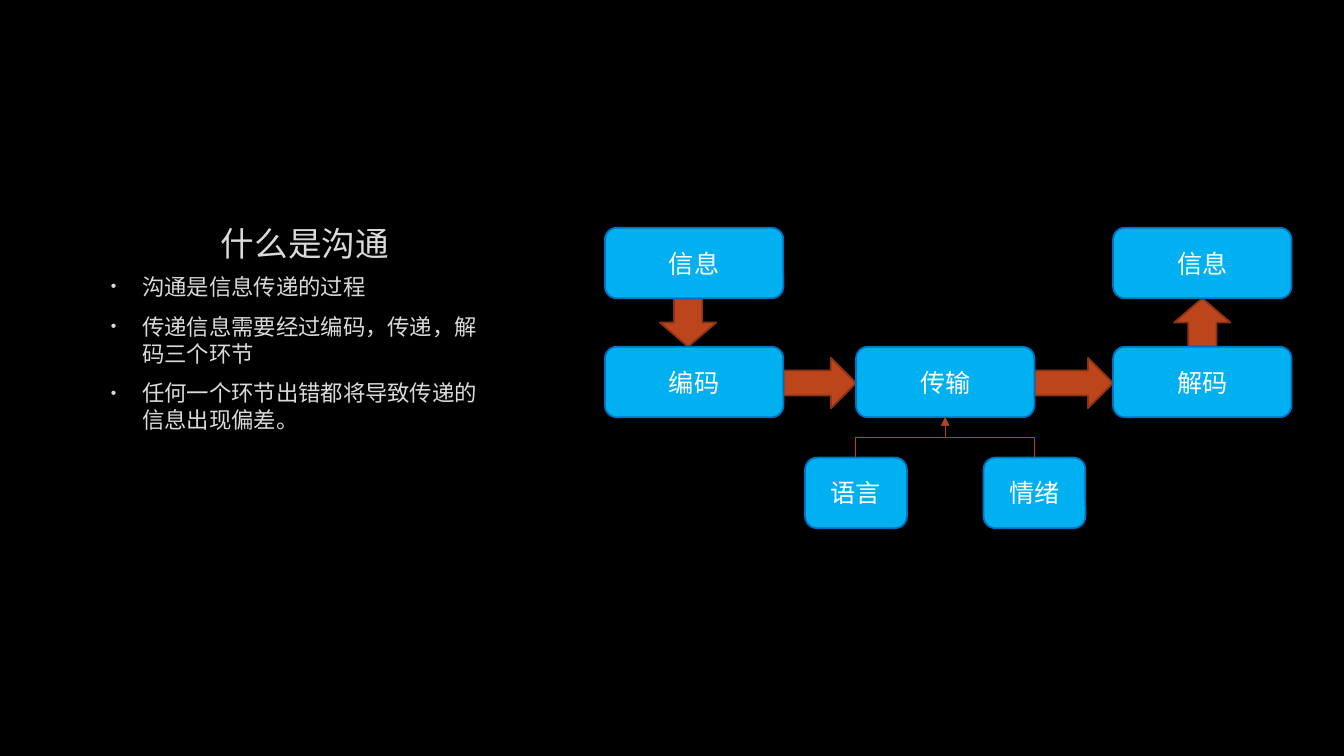
from typing import NamedTuple

from lxml import etree
from pptx import Presentation
from pptx.dml.color import RGBColor
from pptx.enum.shapes import MSO_CONNECTOR, MSO_SHAPE
from pptx.enum.text import MSO_ANCHOR, MSO_AUTO_SIZE, PP_ALIGN
from pptx.oxml.ns import qn
from pptx.util import Inches, Pt

ROUNDED = MSO_SHAPE.ROUNDED_RECTANGLE
DOWN, UP, RIGHT = MSO_SHAPE.DOWN_ARROW, MSO_SHAPE.UP_ARROW, MSO_SHAPE.RIGHT_ARROW
ELBOW = MSO_CONNECTOR.ELBOW
CENTER, LEFT = PP_ALIGN.CENTER, PP_ALIGN.LEFT
MIDDLE, TOP, BOTTOM = MSO_ANCHOR.MIDDLE, MSO_ANCHOR.TOP, MSO_ANCHOR.BOTTOM
NO_FIT = MSO_AUTO_SIZE.NONE

FONT = "Lato"
COLORS = {
    "background": "000000", "text": "DADADA", "outline": "404040",
    "step": "00B0F0", "step_line": "0070C0", "step_text": "FFFFFF",
    "arrow": "BC451B", "arrow_line": "8B3314", "factor_line": "B4421A",
}

# Diagram grid, in inches
ENCODE_X, TRANSFER_X, DECODE_X = 6, 8.49, 11.04
MESSAGE_Y, PROCESS_Y, FACTOR_Y = 2.26, 3.44, 4.54
STEP_W, FACTOR_W, STEP_H = 1.77, 1.01, 0.7
VERTICAL_W, HORIZONTAL_H = 0.56, 0.5
TRANSFER_MID = TRANSFER_X + STEP_W / 2


class Box(NamedTuple):
    x: float
    y: float
    width: float
    height: float


class Step(NamedTuple):
    label: str
    x: float
    y: float
    width: float = STEP_W


class Arrow(NamedTuple):
    kind: int
    box: Box


class FactorLink(NamedTuple):
    begin_side: int  # side of the unrotated frame where the line begins
    center_x: float
    rotation: int


def vertical_arrow(kind: int, step_x: float) -> Arrow:
    top = MESSAGE_Y + STEP_H
    return Arrow(kind, Box(step_x + (STEP_W - VERTICAL_W) / 2 - 0.06, top,
                           VERTICAL_W, PROCESS_Y - top))


def horizontal_arrow(from_x: float, to_x: float) -> Arrow:
    left = from_x + STEP_W
    return Arrow(RIGHT, Box(left, PROCESS_Y + (STEP_H - HORIZONTAL_H) / 2 + 0.01,
                            to_x - left, HORIZONTAL_H))


ARROWS = [
    vertical_arrow(DOWN, ENCODE_X),
    vertical_arrow(UP, DECODE_X + 0.06),
    horizontal_arrow(ENCODE_X, TRANSFER_X),
    horizontal_arrow(TRANSFER_X, DECODE_X),
]
STEPS = [
    Step("信息", ENCODE_X, MESSAGE_Y),
    Step("信息", DECODE_X, MESSAGE_Y),
    Step("解码", DECODE_X, PROCESS_Y),
    Step("传输", TRANSFER_X, PROCESS_Y),
    Step("编码", ENCODE_X, PROCESS_Y),
    Step("语言", TRANSFER_X - FACTOR_W / 2, FACTOR_Y, FACTOR_W),
    Step("情绪", TRANSFER_X + STEP_W - FACTOR_W / 2, FACTOR_Y, FACTOR_W),
]
FACTOR_LINKS = [
    FactorLink(1, TRANSFER_MID - STEP_W / 4, 90),
    FactorLink(-1, TRANSFER_MID + STEP_W / 4, 270),
]
TITLE = "什么是沟通"
POINTS = [
    "沟通是信息传递的过程",
    "传递信息需要经过编码，传递，解码三个环节",
    "任何一个环节出错都将导致传递的信息出现偏差。",
]


def rgb(name: str) -> RGBColor:
    return RGBColor.from_string(COLORS[name])


def apply(target, formats: dict) -> None:
    for name, value in formats.items():
        setattr(target, name, value)


def add_color(parent, name: str):
    color = etree.SubElement(parent, qn("a:srgbClr"))
    color.set("val", COLORS[name])
    return color


def write(paragraph, text: str, size: float, color: str, align: int):
    paragraph.alignment = align
    run = paragraph.add_run()
    run.text = text
    apply(run.font, {"size": Pt(size), "name": FONT, "bold": False})
    run.font.color.rgb = rgb(color)
    properties = run.font._element
    etree.SubElement(properties, qn("a:ea")).set("typeface", FONT)
    return properties


def outline(properties) -> None:
    line = etree.Element(qn("a:ln"), w=str(Pt(0.75)))
    color = add_color(etree.SubElement(line, qn("a:solidFill")), "outline")
    etree.SubElement(color, qn("a:alpha")).set("val", "10000")
    properties.insert(0, line)


def add_bullet(paragraph) -> None:
    properties = paragraph._p.get_or_add_pPr()
    indent = Inches(0.31)
    properties.set("marL", str(indent))
    properties.set("indent", str(-indent))
    add_color(etree.SubElement(properties, qn("a:buClr")), "text")
    for tag, key, value in (("a:buSzPct", "val", "70000"),
                            ("a:buFont", "typeface", "Arial"),
                            ("a:buChar", "char", "•")):
        etree.SubElement(properties, qn(tag)).set(key, value)


def fill_placeholder(holder, box: Box, lines: list[str], size: float,
                     align: int, anchor: int, bulleted: bool) -> None:
    apply(holder, dict(zip(("left", "top", "width", "height"), map(Inches, box))))
    frame = holder.text_frame
    apply(frame, {"word_wrap": True, "auto_size": NO_FIT, "vertical_anchor": anchor})
    for number, line in enumerate(lines):
        paragraph = frame.add_paragraph() if number else frame.paragraphs[0]
        outline(write(paragraph, line, size, "text", align))
        if bulleted:
            paragraph.space_after = Pt(6)
            add_bullet(paragraph)


def add_block(slide, kind: int, box: Box, color: str):
    block = slide.shapes.add_shape(kind, *map(Inches, box))
    block.shadow.inherit = False
    block.fill.solid()
    block.fill.fore_color.rgb = rgb(color)
    block.line.color.rgb = rgb(color + "_line")
    block.line.width = Pt(1.25)
    return block


def add_step(slide, step: Step) -> None:
    block = add_block(slide, ROUNDED, Box(step.x, step.y, step.width, STEP_H), "step")
    apply(block.text_frame, {"word_wrap": True, "vertical_anchor": MIDDLE})
    write(block.text_frame.paragraphs[0], step.label, 18, "step_text", CENTER)


def add_factor_link(slide, link: FactorLink) -> None:
    rise = FACTOR_Y - PROCESS_Y - STEP_H
    center_y = FACTOR_Y - rise / 2
    half_w, half_h = link.begin_side * rise / 2, STEP_W / 4
    connector = slide.shapes.add_connector(ELBOW, *map(Inches, (
        link.center_x + half_w, center_y + half_h,
        link.center_x - half_w, center_y - half_h)))
    connector.line.color.rgb = rgb("factor_line")
    connector.line.width = Pt(0.75)
    properties = connector._element.spPr
    properties.find(qn("a:xfrm")).set("rot", str(link.rotation * 60000))
    etree.SubElement(properties.find(qn("a:ln")), qn("a:tailEnd")).set("type", "triangle")
    etree.SubElement(properties, qn("a:effectLst"))


def main() -> None:
    deck = Presentation()
    apply(deck, {"slide_width": Inches(13.33), "slide_height": Inches(7.5)})
    slide = deck.slides.add_slide(deck.slide_layouts[1])
    slide.background.fill.solid()
    slide.background.fill.fore_color.rgb = rgb("background")

    # Title and key points
    fill_placeholder(slide.shapes.title, Box(1, 0.67, 4.05, 1.99), [TITLE],
                     24, CENTER, BOTTOM, False)
    fill_placeholder(slide.placeholders[1], Box(1, 2.66, 4.05, 3.67), POINTS,
                     16, LEFT, TOP, True)

    # Communication flow
    for arrow in ARROWS:
        add_block(slide, arrow.kind, arrow.box, "arrow")
    for step in STEPS:
        add_step(slide, step)

    # Factors that affect the transfer
    for link in FACTOR_LINKS:
        add_factor_link(slide, link)
    deck.save("out.pptx")


if __name__ == "__main__":
    main()
